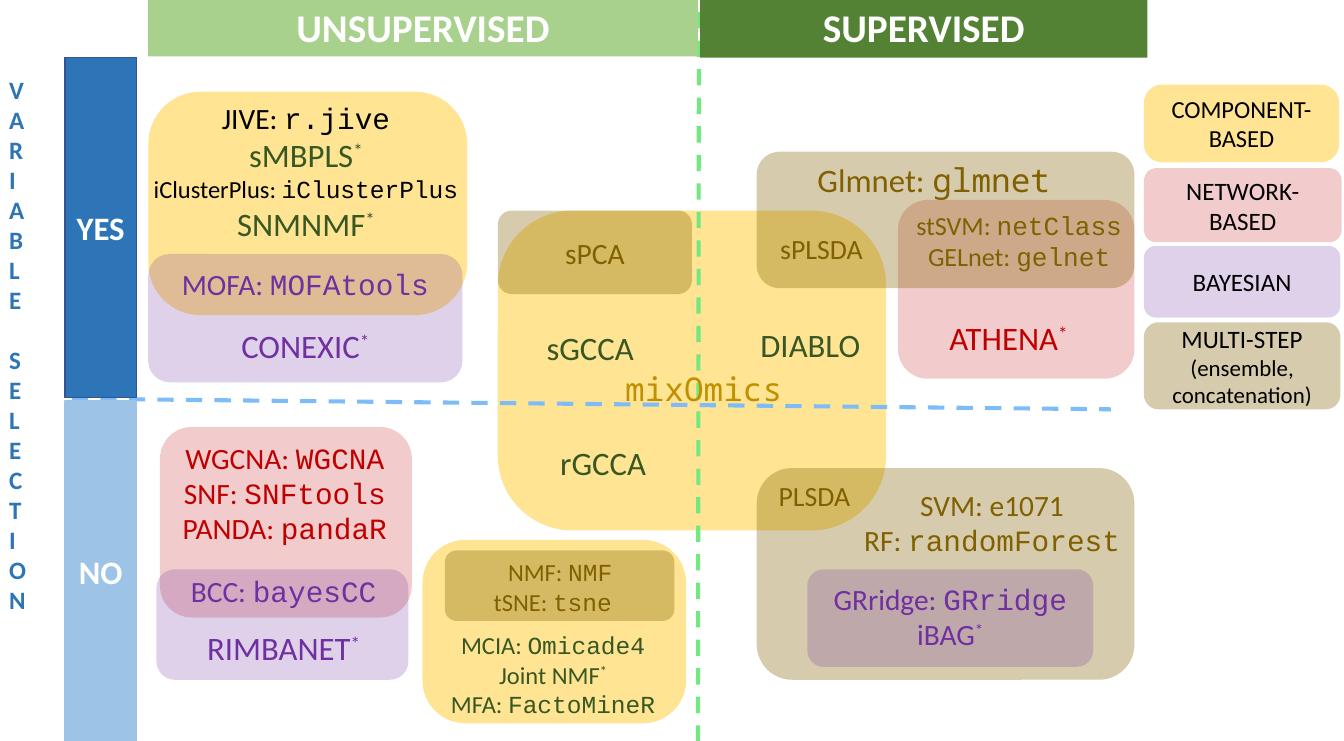
from dataclasses import dataclass
from typing import Optional, Union

from lxml import etree
from pptx import Presentation
from pptx.dml.color import RGBColor
from pptx.enum import dml, shapes, text
from pptx.oxml.ns import qn
from pptx.util import Inches, Pt


@dataclass(frozen=True)
class Theme:
    sans: str = "Calibri"
    mono: str = "Courier New"
    wide: str = "Noto Sans Mono"
    black: str = "000000"
    white: str = "FFFFFF"
    green: str = "385723"
    red: str = "C00000"
    purple: str = "7030A0"
    olive: str = "806000"
    gold: str = "BF9000"
    blue: str = "2E75B6"
    tiny: float = 14
    small: float = 15
    key: float = 15.3
    note: float = 16
    plsda: float = 17
    body: float = 18
    large: float = 20
    head: float = 24


T = Theme()


@dataclass(frozen=True)
class Method:
    """Colour, transparency and corner of one family of methods."""
    color: str
    alpha: int
    corner: float = 0.16667


COMP = Method("FFD966", 70, 0.234)
NET = Method(T.red, 20)
BAYES = Method(T.purple, 22)
MULTI = Method(T.olive, 32)


@dataclass(frozen=True)
class Line:
    """One line of text: `...` is code, a closing * is raised."""
    words: str
    size: float
    ink: str
    mono: str = T.mono
    bold: bool = False


@dataclass(frozen=True)
class Panel:
    box: tuple[float, float, float, float]
    method: Method
    lines: tuple[Line, ...] = ()


@dataclass(frozen=True)
class Band:
    box: tuple[float, float, float, float]
    fill: str
    line: Line
    edge: Optional[str] = None


@dataclass(frozen=True)
class Label:
    box: tuple[float, float, float, float]
    lines: tuple[Line, ...]
    stack: bool = False


@dataclass(frozen=True)
class Divide:
    ends: tuple[float, float, float, float]
    color: str


Item = Union[Panel, Band, Label, Divide]


def same(size: float, ink: str, *words: str, mono: str = T.mono) -> tuple[Line, ...]:
    """Lines that share size and ink."""
    return tuple(Line(w, size, ink, mono) for w in words)


def bar(words: str, size: float) -> Line:
    return Line(words, size, T.white, bold=True)


ITEMS: list[Item] = [
    Panel((1.36, 3.63, 2.14, 1.62), NET),
    Panel((4.23, 1.79, 3.3, 2.72), COMP),
    Divide((5.93, 6.79, 5.94, -0.65), "73E780"),
    Panel((7.63, 1.7, 2.01, 1.52), NET),
    Panel((6.43, 1.29, 3.21, 1.16), MULTI),
    Label((7.55, 2.65, 2.04, 0.44), same(T.large, T.red, "ATHENA*")),
    Label((7.66, 1.73, 2, 0.91),
          same(T.note, T.olive, "stSVM: `netClass`", "GELnet: `gelnet`")),
    Divide((0.61, 3.39, 9.44, 3.48), "7DBCF8"),
    Label((-0.02, 0.58, 0.51, 5.59),
          (Line("VARIABLE SELECTION", T.key, T.blue, bold=True),), stack=True),
    Panel((1.26, 0.78, 2.71, 1.9), COMP),
    Panel((1.33, 4.84, 2.14, 0.94), BAYES),
    Label((1.35, 4.82, 2.12, 0.4), same(T.body, T.purple, "BCC: `bayesCC`")),
    Label((1.35, 5.29, 2.12, 0.44), same(T.large, T.purple, "RIMBANET*")),
    Panel((6.43, 3.98, 3.21, 1.8), MULTI),
    Panel((3.59, 4.59, 2.24, 1.56), COMP),
    Panel((1.26, 2.16, 2.67, 1.09), BAYES),
    Label((1.26, 2.21, 2.67, 0.4), same(T.body, T.purple, "MOFA: `MOFAtools`")),
    Label((1.26, 2.72, 2.67, 0.44), same(T.large, T.purple, "CONEXIC*")),
    Label((1.11, 0.8, 2.98, 1.33),
          (Line("JIVE: `r.jive`", T.body, T.black),
           Line("sMBPLS*", T.large, T.green),
           Line("iClusterPlus: `iClusterPlus`", T.small, T.black),
           Line("SNMNMF*", T.large, T.green))),
    Panel((3.78, 4.68, 1.95, 0.6), MULTI),
    Label((3.81, 4.69, 1.9, 0.4),
          same(T.small, T.olive, "NMF: `NMF`", "tSNE: `tsne `")),
    Label((3.58, 5.31, 2.24, 0.86),
          same(T.small, T.green, "MCIA: `Omicade4`", "Joint NMF*", "MFA: `FactoMineR`")),
    Panel((6.86, 4.84, 2.43, 0.83), BAYES),
    Label((6.86, 4.89, 2.43, 0.71),
          same(T.body, T.purple, "GRridge: `GRridge`", "iBAG*")),
    Label((6.38, 4.02, 1.08, 0.39), same(T.plsda, T.olive, "PLSDA")),
    Label((7.21, 4.09, 2.44, 0.71),
          same(T.body, T.olive, "SVM: e1071", "RF: `randomForest`")),
    Panel((9.72, 0.72, 1.66, 0.66), COMP, same(T.small, T.black, "COMPONENT-BASED")),
    Panel((9.72, 1.43, 1.68, 0.63), NET, same(T.key, T.black, "NETWORK-BASED")),
    Panel((9.72, 2.09, 1.67, 0.61), BAYES, same(T.key, T.black, "BAYESIAN")),
    Panel((9.72, 2.74, 1.67, 0.74), MULTI,
          (Line("MULTI-STEP", T.key, T.black),
           Line("(ensemble, concatenation)", T.tiny, T.black))),
    Band((1.26, -0.03, 4.67, 0.51), "A9D18E", bar("UNSUPERVISED", T.head)),
    Band((5.95, -0.03, 3.8, 0.52), "538234", bar("SUPERVISED", T.head)),
    Label((1.35, 3.69, 2.14, 1.01),
          same(T.body, T.red, "WGCNA: `WGCNA`", "SNF: `SNFtools`", "PANDA: `pandaR`")),
    Label((4.32, 2.74, 1.39, 0.44), same(T.large, T.green, "sGCCA")),
    Label((6.19, 2.71, 1.39, 0.44), same(T.large, T.green, "DIABLO")),
    Label((4.43, 3.72, 1.39, 0.44), same(T.large, T.green, "rGCCA")),
    Label((5.1, 3.09, 1.76, 0.44), same(T.large, T.gold, "`mixOmics`", mono=T.wide)),
    Panel((4.23, 1.79, 1.65, 0.71), MULTI, same(T.body, T.olive, "sPCA")),
    Label((6.43, 1.31, 3.01, 0.44),
          same(T.large, T.olive, "Glmnet: `glmnet`", mono=T.wide)),
    Label((6.44, 1.92, 1.08, 0.39), same(T.plsda, T.olive, "sPLSDA")),
    Band((0.55, 0.49, 0.61, 2.89), "2D75B6", bar("YES", T.large), "325491"),
    Band((0.55, 3.41, 0.61, 2.89), "9DC4E6", bar("NO", T.large), "9DC4E6"),
]


def write(frame, lines: tuple[Line, ...], align=text.PP_ALIGN.CENTER) -> None:
    frame.text = "\n".join("" for _ in lines)
    for para, line in zip(frame.paragraphs, lines):
        para.alignment = align
        star = line.words.endswith("*")
        parts = line.words.removesuffix("*").split("`")
        fonts = [line.mono if i % 2 else T.sans for i in range(len(parts))]
        for part, face in zip(parts + ["*"] * star, fonts + [T.sans] * star):
            if not part:
                continue
            run = para.add_run()
            run.text = part
            font = run.font
            font.name, font.size, font.bold = face, Pt(line.size), line.bold
            font.color.rgb = RGBColor.from_string(line.ink)
            if part == "*":
                font._element.set("baseline", "30000")


def block(slide, kind, item: Union[Panel, Band], fill: str, lines: tuple[Line, ...]):
    shape = slide.shapes.add_shape(kind, *map(Inches, item.box))
    shape.shadow.inherit = False
    shape.fill.solid()
    shape.fill.fore_color.rgb = RGBColor.from_string(fill)
    shape.line.fill.background()
    if lines:
        shape.text_frame.vertical_anchor = text.MSO_ANCHOR.MIDDLE
        write(shape.text_frame, lines)
    return shape


def draw(slide, item: Item) -> None:
    if isinstance(item, Panel):
        how = item.method
        shape = block(slide, shapes.MSO_SHAPE.ROUNDED_RECTANGLE, item, how.color, item.lines)
        shape.adjustments[0] = how.corner
        tint = shape._element.spPr.find(qn("a:solidFill"))[0]
        etree.SubElement(tint, qn("a:alpha")).set("val", str(how.alpha * 1000))
    elif isinstance(item, Band):
        shape = block(slide, shapes.MSO_SHAPE.RECTANGLE, item, item.fill, (item.line,))
        if item.edge:
            shape.line.color.rgb = RGBColor.from_string(item.edge)
            shape.line.width = Pt(1)
    elif isinstance(item, Label):
        frame = slide.shapes.add_textbox(*map(Inches, item.box)).text_frame
        frame.word_wrap = not item.stack
        frame.auto_size = text.MSO_AUTO_SIZE.SHAPE_TO_FIT_TEXT
        if item.stack:
            frame._txBody.bodyPr.set("vert", "wordArtVert")
        write(frame, item.lines, text.PP_ALIGN.LEFT if item.stack else text.PP_ALIGN.CENTER)
    else:
        rule = slide.shapes.add_connector(
            shapes.MSO_CONNECTOR.STRAIGHT, *map(Inches, item.ends))
        rule.line.color.rgb = RGBColor.from_string(item.color)
        rule.line.width = Pt(2.5)
        rule.line.dash_style = dml.MSO_LINE.DASH
        etree.SubElement(rule._element.spPr, qn("a:effectLst"))


def main() -> None:
    deck = Presentation()
    deck.slide_width, deck.slide_height = Inches(11.42), Inches(6.3)
    slide = deck.slides.add_slide(deck.slide_layouts[6])
    for item in ITEMS:
        draw(slide, item)
    deck.save("out.pptx")


if __name__ == "__main__":
    main()
